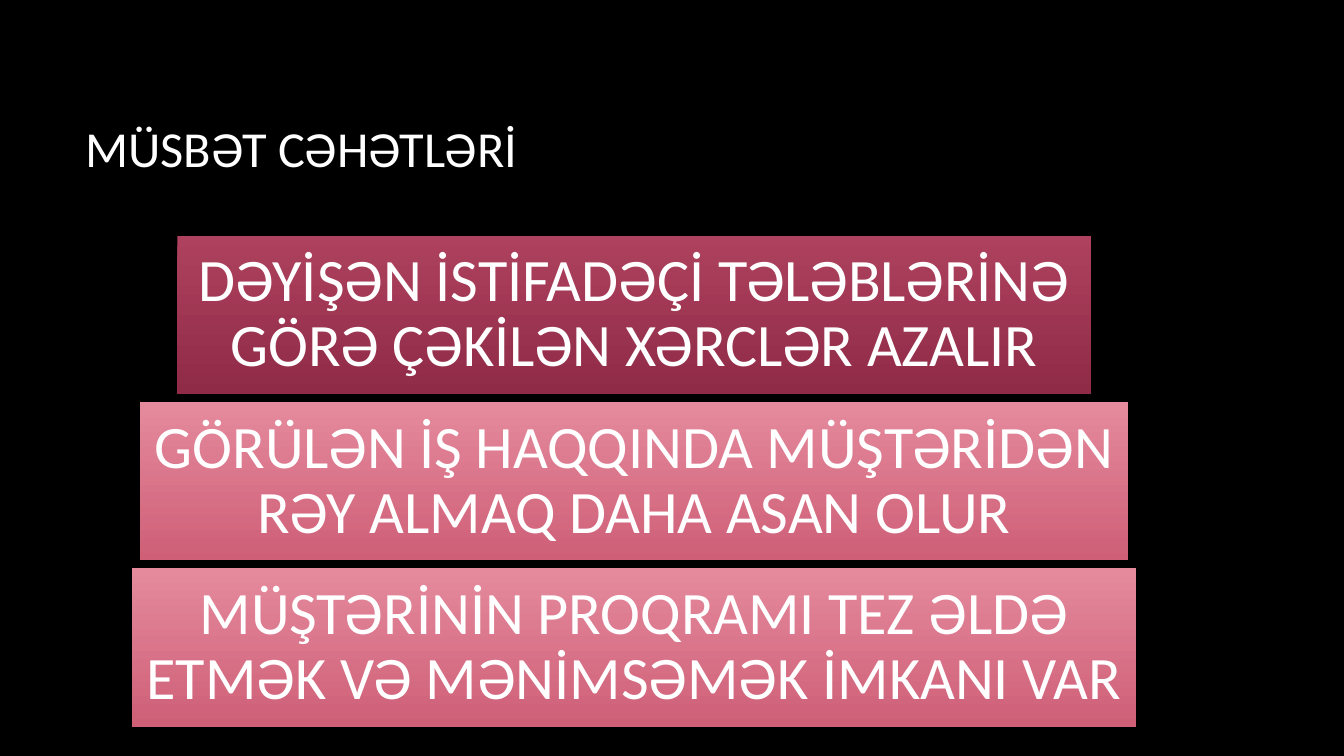
from pptx import Presentation
from pptx.dml.color import RGBColor
from pptx.enum.shapes import MSO_SHAPE
from pptx.enum.text import MSO_ANCHOR, PP_ALIGN
from pptx.util import Cm, Pt

RECT = MSO_SHAPE.RECTANGLE
MIDDLE = MSO_ANCHOR.MIDDLE
LEFT, CENTER = PP_ALIGN.LEFT, PP_ALIGN.CENTER

FONT = "Calibri"
DARK = ("AE425E", "8F2A47")
LIGHT = ("E58A9D", "CE5F77")

# Text, width in cm and gradient of each bar
BENEFITS = [
    ("DƏYİŞƏN İSTİFADƏÇİ TƏLƏBLƏRİNƏ GÖRƏ ÇƏKİLƏN XƏRCLƏR AZALIR", 23.02, DARK),
    ("GÖRÜLƏN İŞ HAQQINDA MÜŞTƏRİDƏN RƏY ALMAQ DAHA ASAN OLUR", 24.92, LIGHT),
    ("MÜŞTƏRİNİN PROQRAMI TEZ ƏLDƏ ETMƏK VƏ MƏNİMSƏMƏK İMKANI VAR", 25.3, LIGHT),
]


def rgb(color):
    return RGBColor.from_string(color)


def write(sp, text, size, color="FFFFFF", align=LEFT, inset=(0.25, 0.13), spacing=1.0):
    tf = sp.text_frame
    tf.word_wrap = True
    tf.vertical_anchor = MIDDLE
    tf.margin_left = tf.margin_right = Cm(inset[0])
    tf.margin_top = tf.margin_bottom = Cm(inset[1])
    p = tf.paragraphs[0]
    p.alignment = align
    p.line_spacing = spacing
    r = p.add_run()
    r.text = text
    r.font.name = FONT
    r.font.size = Pt(size)
    r.font.color.rgb = rgb(color)


def add_title(s, text, left, top, width, height):
    sp = s.shapes.add_textbox(Cm(left), Cm(top), Cm(width), Cm(height))
    write(sp, text, 36)


def add_bar(s, text, colors, left, top, width, height):
    sp = s.shapes.add_shape(RECT, Cm(left), Cm(top), Cm(width), Cm(height))
    sp.shadow.inherit = False
    sp.line.fill.background()
    sp.fill.gradient()
    sp.fill.gradient_angle = 270  # top to bottom
    for stop, color in zip(sp.fill.gradient_stops, colors):
        stop.color.rgb = rgb(color)
    write(sp, text, 43, align=CENTER, inset=(0.3, 0.3), spacing=0.9)


def add_benefits(s, benefits, left, top, width, height, gap=0.2):
    """Stack centred bars of equal height inside the box."""
    bar_height = (height - gap * (len(benefits) - 1)) / len(benefits)
    for i, (text, bar_width, colors) in enumerate(benefits):
        add_bar(s, text, colors, left + (width - bar_width) / 2,
                top + i * (bar_height + gap), bar_width, bar_height)


def main():
    prs = Presentation()
    prs.slide_width, prs.slide_height = Cm(33.87), Cm(19.05)
    s = prs.slides.add_slide(prs.slide_layouts[6])

    # Background
    s.background.fill.solid()
    s.background.fill.fore_color.rgb = rgb("000000")

    # Title and bars
    add_title(s, "MÜSBƏT CƏHƏTLƏRİ", 1.9, 1.7, 28.15, 4.05)
    add_benefits(s, BENEFITS, 3.33, 5.94, 25.3, 12.37)

    prs.save("out.pptx")


if __name__ == "__main__":
    main()
